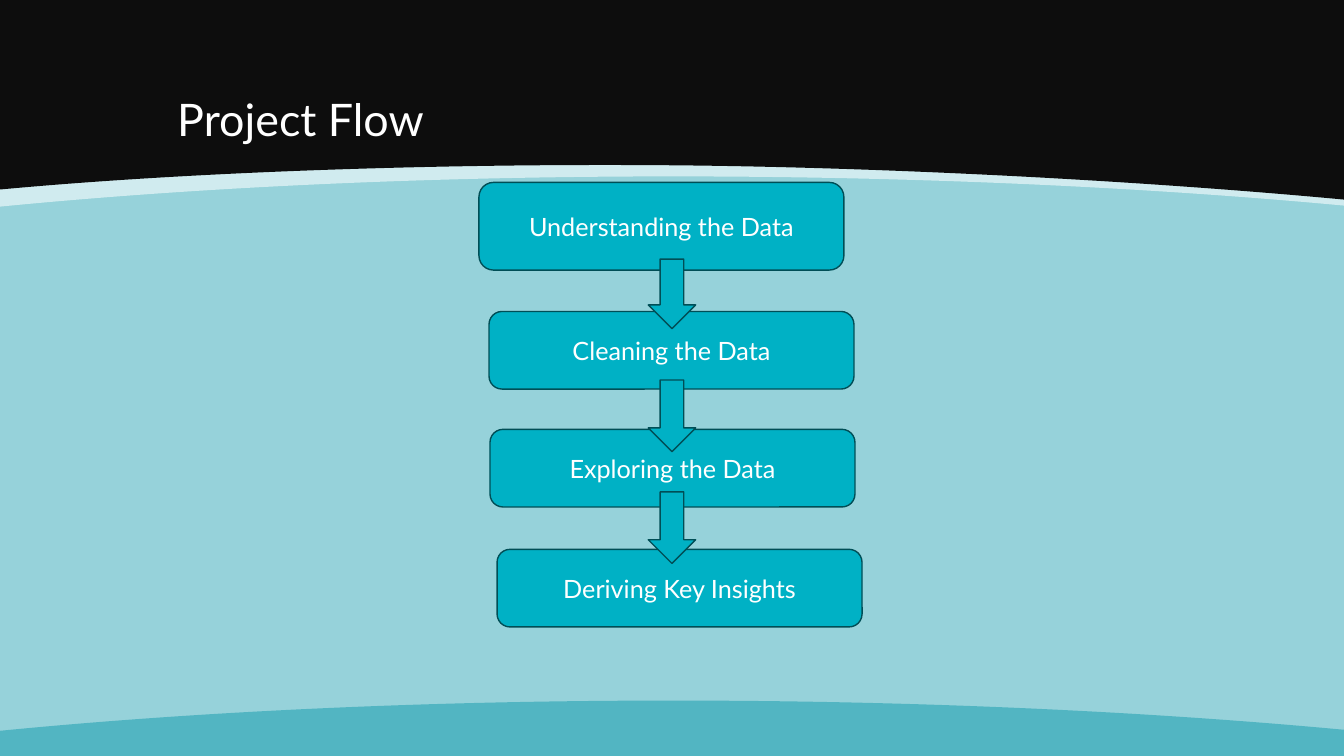
from lxml.etree import SubElement
from pptx import Presentation
from pptx.dml.color import RGBColor
from pptx.enum.shapes import MSO_SHAPE
from pptx.enum.text import MSO_ANCHOR, PP_ALIGN
from pptx.oxml.ns import qn
from pptx.util import Inches, Pt

COLORS = {
    "background": "96D2DA",
    "pale": "EAF6F8",
    "black": "0D0D0D",
    "teal": "52B5C2",
    "step": "00B1C5",
    "outline": "004E56",
    "white": "FFFFFF",
}
WIDTH, HEIGHT = 13.33, 7.5

PALE_WAVE = [(0, 2.05), (1.94, 1.86), (4.23, 1.75), (6.68, 1.75),
             (9.12, 1.75), (11.4, 1.86), (WIDTH, 2.04)]
BLACK_WAVE = [(0, 1.88), (1.94, 1.7), (4.45, 1.62), (6.68, 1.64),
              (8.89, 1.66), (11.4, 1.8), (WIDTH, 1.98)]
TEAL_WAVE = [(0, 7.25), (1.94, 7.06), (4.23, 6.95), (6.68, 6.95),
             (9.12, 6.95), (11.4, 7.06), (WIDTH, 7.24)]

STEPS = [
    ("Understanding the Data", 4.75, 1.81, 0.87),
    ("Cleaning the Data", 4.85, 3.09, 0.77),
    ("Deriving Key Insights", 4.93, 5.45, 0.77),
    ("Exploring the Data", 4.86, 4.26, 0.77),
]
ARROWS = [(2.57, 0.69), (3.77, 0.71), (4.88, 0.71)]


def color(name):
    return RGBColor.from_string(COLORS[name])


def bend_segments(shape, curve_count):
    lines = list(shape._element.iter(qn("a:lnTo")))
    for index in range(curve_count):
        first, *others = lines[3 * index:3 * index + 3]
        first.tag = qn("a:cubicBezTo")
        for line in others:
            first.append(line[0])
            line.getparent().remove(line)


def add_wave(page, curve, edge, fill, opacity=None):
    corners = [(WIDTH, edge), (0, edge)]
    points = [(Inches(x), Inches(y)) for x, y in curve + corners]
    builder = page.shapes.build_freeform(*points[0])
    builder.add_line_segments(points[1:], close=True)
    wave = builder.convert_to_shape()
    bend_segments(wave, curve_count=2)
    wave.shadow.inherit = False
    wave.fill.solid()
    wave.fill.fore_color.rgb = color(fill)
    wave.line.fill.background()
    if opacity is not None:
        tint = wave._element.spPr.find(qn("a:solidFill"))[0]
        SubElement(tint, qn("a:alpha")).set("val", str(opacity * 1000))


def write_text(box, text, size, align, anchor, spacing=None):
    frame = box.text_frame
    frame.word_wrap = True
    frame.vertical_anchor = anchor
    para = frame.paragraphs[0]
    para.alignment = align
    para.line_spacing = spacing
    span = para.add_run()
    span.text = text
    span.font.name = "Lato"
    span.font.size = Pt(size)
    span.font.color.rgb = color("white")


def add_flow_shape(page, kind, left, top, width, height):
    shape = page.shapes.add_shape(
        kind, Inches(left), Inches(top), Inches(width), Inches(height))
    shape.shadow.inherit = False
    shape.fill.solid()
    shape.fill.fore_color.rgb = color("step")
    shape.line.color.rgb = color("outline")
    shape.line.width = Pt(1)
    return shape


def add_title(page, text):
    box = page.shapes.add_textbox(Inches(1.66), Inches(0.3), Inches(10), Inches(1.2))
    write_text(box, text, size=32, align=PP_ALIGN.LEFT,
               anchor=MSO_ANCHOR.BOTTOM, spacing=0.9)


def main():
    deck = Presentation()
    deck.slide_width, deck.slide_height = Inches(WIDTH), Inches(HEIGHT)
    page = deck.slides.add_slide(deck.slide_layouts[6])
    page.background.fill.solid()
    page.background.fill.fore_color.rgb = color("background")

    add_wave(page, PALE_WAVE, edge=0, fill="pale", opacity=70)
    add_wave(page, BLACK_WAVE, edge=0, fill="black")
    add_wave(page, TEAL_WAVE, edge=HEIGHT, fill="teal")
    add_title(page, "Project Flow")

    for text, left, top, height in STEPS:
        box = add_flow_shape(page, MSO_SHAPE.ROUNDED_RECTANGLE, left, top, 3.62, height)
        write_text(box, text, size=18, align=PP_ALIGN.CENTER, anchor=MSO_ANCHOR.MIDDLE)
    for top, height in ARROWS:
        add_flow_shape(page, MSO_SHAPE.DOWN_ARROW, 6.43, top, 0.47, height)

    deck.save("out.pptx")


if __name__ == "__main__":
    main()
